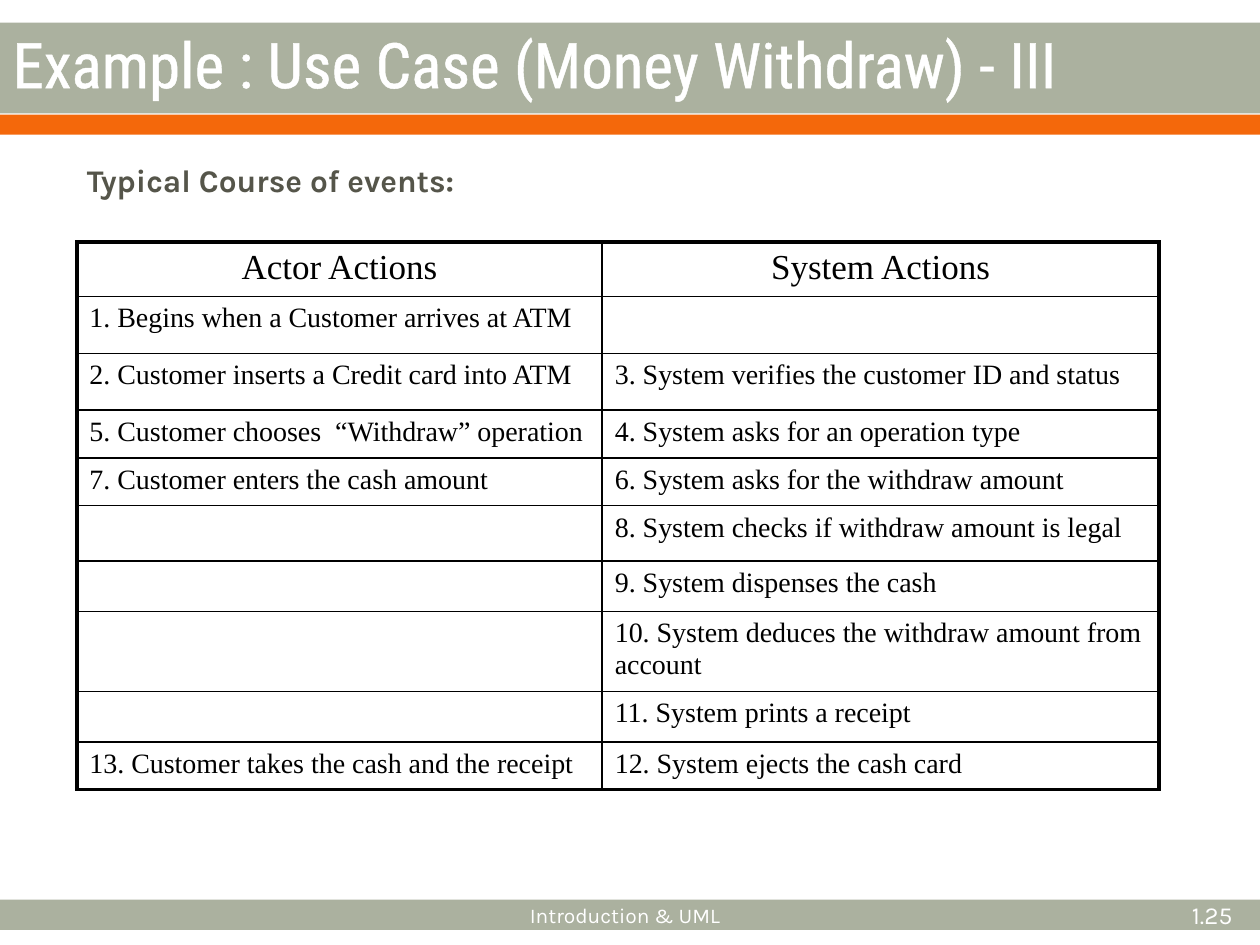
from lxml.etree import SubElement
from pptx import Presentation
from pptx.dml.color import RGBColor
from pptx.enum.shapes import MSO_SHAPE as SHAPE
from pptx.enum.text import MSO_ANCHOR as ANCHOR, MSO_AUTO_SIZE as AUTO, PP_ALIGN as ALIGN
from pptx.oxml import parse_xml
from pptx.oxml.ns import nsdecls, qn
from pptx.util import Inches, Pt

SAGE = RGBColor(0xAB, 0xB1, 0x9F)
ORANGE = RGBColor(0xF4, 0x68, 0x0B)
OLIVE = RGBColor(0x55, 0x55, 0x4A)
WHITE = RGBColor(0xFF, 0xFF, 0xFF)
BLACK = RGBColor(0, 0, 0)

COLS = [4.17, 4.42]
ROWS = [
    (0.42, "Actor Actions", "System Actions"),
    (0.45, "1. Begins when a Customer arrives at ATM", ""),
    (0.45, "2. Customer inserts a Credit card into ATM",
     "3. System verifies the customer ID and status"),
    (0.38, "5. Customer chooses  “Withdraw” operation", "4. System asks for an operation type"),
    (0.38, "7. Customer enters the cash amount", "6. System asks for the withdraw amount"),
    (0.44, "", "8. System checks if withdraw amount is legal"),
    (0.38, "", "9. System dispenses the cash"),
    (0.6, "", "10. System deduces the withdraw amount from account"),
    (0.38, "", "11. System prints a receipt"),
    (0.38, "13. Customer takes the cash and the receipt", "12. System ejects the cash card"),
]


class Deck:
    """Holds the fonts, the border widths and the current slide."""

    heading, body, serif = "Roboto Condensed", "Karla", "Times New Roman"
    outer, inner = Pt(2.25), Pt(1)

    def __init__(self, prs):
        self.s = prs.slides.add_slide(prs.slide_layouts[5])

    def band(self, top, height, color):
        sp = self.s.shapes.add_shape(SHAPE.RECTANGLE, 0, Inches(top), Inches(10), Inches(height))
        sp.shadow.inherit = False
        sp.fill.solid()
        sp.fill.fore_color.rgb = color
        sp.line.fill.background()

    def run(self, tf, text, font, size, color, align=ALIGN.LEFT, bold=False):
        p = tf.paragraphs[0]
        p.alignment = align
        r = p.add_run()
        r.text = text
        r.font.name, r.font.size, r.font.bold = font, Pt(size), bold
        r.font.color.rgb = color
        return r

    def title(self, text, left, top, width, height):
        sp = self.s.shapes.title
        self.s.shapes._spTree.append(sp._element)
        sp.left, sp.top, sp.width, sp.height = map(Inches, (left, top, width, height))
        tf = sp.text_frame
        tf.auto_size, tf.vertical_anchor = AUTO.NONE, ANCHOR.MIDDLE
        r = self.run(tf, text, self.heading, 36, WHITE)
        r._r.get_or_add_rPr().insert(0, parse_xml(
            f'<a:ln {nsdecls("a")} w="{Pt(1.1)}"><a:solidFill>'
            f'<a:srgbClr val="{WHITE}"/></a:solidFill></a:ln>'))

    def text(self, text, left, top, width, height, size, color,
             align=ALIGN.LEFT, anchor=ANCHOR.MIDDLE, bold=False):
        sp = self.s.shapes.add_textbox(*map(Inches, (left, top, width, height)))
        tf = sp.text_frame
        tf.word_wrap, tf.vertical_anchor = True, anchor
        self.run(tf, text, self.body, size, color, align, bold)

    def border(self, cell, side, width):
        ln = SubElement(cell._tc.get_or_add_tcPr(), qn(f"a:ln{side}"), w=str(width))
        SubElement(SubElement(ln, qn("a:solidFill")), qn("a:srgbClr"), val=str(BLACK))

    def table(self, left, top, cols, rows):
        size = sum(cols), sum(row[0] for row in rows)
        frame = self.s.shapes.add_table(len(rows), len(cols), *map(Inches, (left, top, *size)))
        tbl = frame.table
        tbl.first_row = tbl.horz_banding = False
        for col, width in zip(tbl.columns, cols):
            col.width = Inches(width)
        for i, (height, *texts) in enumerate(rows):
            tbl.rows[i].height = Inches(height)
            for j, text in enumerate(texts):
                cell = tbl.cell(i, j)
                edges = {"L": j == 0, "R": j == len(cols) - 1,
                         "T": i == 0, "B": i == len(rows) - 1}
                for side, is_outer in edges.items():
                    self.border(cell, side, self.outer if is_outer else self.inner)
                cell.fill.background()
                if text:
                    font_size, align = (16, ALIGN.LEFT) if i else (20, ALIGN.CENTER)
                    self.run(cell.text_frame, text, self.serif, font_size, BLACK, align)


def main():
    prs = Presentation()
    prs.slide_width, prs.slide_height = Inches(10), Inches(7.5)
    deck = Deck(prs)
    deck.band(7.14, 0.24, SAGE)
    deck.band(0.18, 0.72, SAGE)
    deck.band(0.91, 0.16, ORANGE)
    deck.title("Example : Use Case (Money Withdraw) - III", 0, 0.19, 10, 0.62)
    deck.text("1.25", 8.15, 7.06, 1.73, 0.4, 14, WHITE, ALIGN.RIGHT)
    deck.text("Typical Course of events:", 0.59, 1.23, 7.75, 0.39, 18, OLIVE,
              anchor=ANCHOR.TOP, bold=True)
    deck.table(0.61, 1.92, COLS, ROWS)
    deck.text("Introduction & UML", 2.32, 7.06, 5.28, 0.4, 12, WHITE, ALIGN.CENTER)
    prs.save("out.pptx")


if __name__ == "__main__":
    main()
